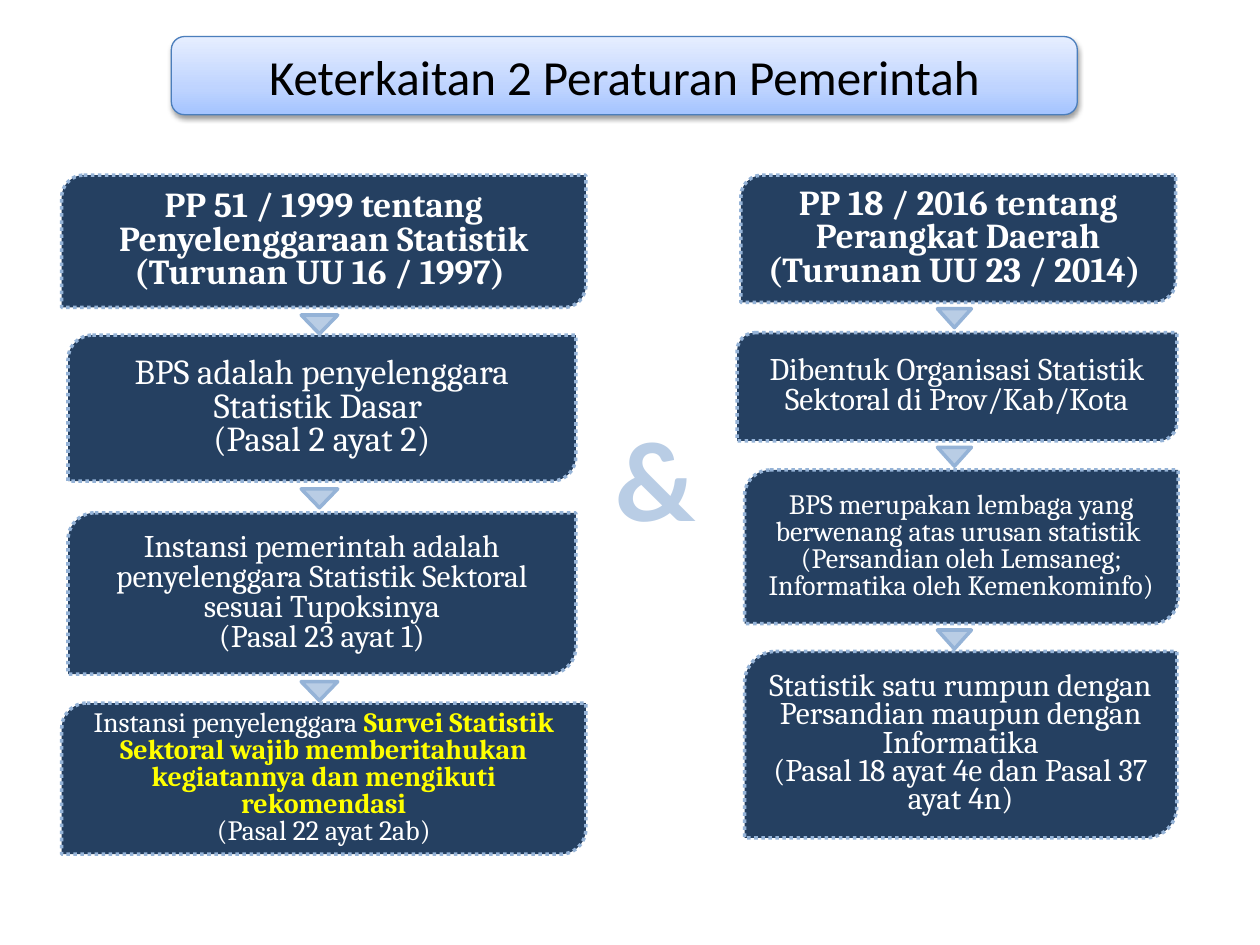
import copy
from dataclasses import dataclass

import lxml.etree
import pptx
import pptx.dml.color
import pptx.enum.dml
import pptx.enum.shapes
import pptx.enum.text
import pptx.oxml.ns
import pptx.util
from pptx.util import Inches

SHAPE = pptx.enum.shapes.MSO_SHAPE
ANCHOR = pptx.enum.text.MSO_ANCHOR


@dataclass(frozen=True)
class Theme:
    """Colours, fonts and type sizes of the slide."""
    navy: str = "254061"
    border: str = "95B3D7"
    pale: str = "B9CDE5"
    white: str = "FFFFFF"
    black: str = "000000"
    yellow: str = "FFFF00"
    title_border: str = "4B7EBC"
    title_stops: tuple = ((0, "A4C4FF"), (0.35, "BFD4FF"), (1, "E6EEFF"))
    title_font: str = "Calibri"
    body_font: str = "Cambria"
    title_size: int = 28
    ampersand_size: int = 65
    large: int = 20
    medium: int = 18
    small: int = 16


THEME = Theme()


@dataclass(frozen=True)
class Box:
    """One step of a regulation column; a paragraph is a list of runs."""
    place: tuple
    size: int
    paragraphs: list
    bold: bool = False
    spacing: float = 0.8


LEFT_COLUMN = [
    Box((0.49, 1.39, 4.16, 1.05), THEME.large,
        [["PP 51 / 1999 tentang Penyelenggaraan Statistik"], ["(Turunan UU 16 / 1997) "]], bold=True),
    Box((0.54, 2.66, 4.03, 1.16), THEME.large,
        [["BPS adalah penyelenggara Statistik Dasar "], ["(Pasal 2 ayat 2)"]]),
    Box((0.54, 4.07, 4.03, 1.28), THEME.medium,
        [["Instansi pemerintah adalah penyelenggara Statistik Sektoral sesuai Tupoksinya"],
         ["(Pasal 23 ayat 1)"]]),
    Box((0.49, 5.58, 4.16, 1.2), THEME.small,
        [["Instansi penyelenggara ",
          "Survei Statistik Sektoral wajib memberitahukan kegiatannya dan mengikuti rekomendasi"],
         ["(Pasal 22 ayat 2ab)"]]),
]
RIGHT_COLUMN = [
    Box((5.88, 1.39, 3.45, 1.01), THEME.large,
        [["PP 18 / 2016 tentang Perangkat Daerah"], ["(Turunan UU 23 / 2014) "]], bold=True),
    Box((5.85, 2.64, 3.49, 0.86), THEME.medium,
        [["Dibentuk Organisasi Statistik Sektoral di Prov/Kab/Kota"]]),
    Box((5.91, 3.73, 3.44, 1.22), THEME.small,
        [["BPS merupakan lembaga yang berwenang atas urusan statistik "],
         ["(Persandian oleh Lemsaneg; Informatika oleh Kemenkominfo)"]]),
    Box((5.91, 5.17, 3.43, 1.48), THEME.medium,
        [["Statistik satu rumpun dengan Persandian maupun dengan Informatika"],
         ["(Pasal 18 ayat 4e dan Pasal 37 ayat 4n)"]], spacing=0.75),
]


def rgb(value):
    """Return a colour object for a hex string."""
    return pptx.dml.color.RGBColor.from_string(value)


def add_shape(shapes, kind, place, fill=None, line=None, width=2):
    """Add a preset shape with plain fill and line and no shadow."""
    shape = shapes.add_shape(kind, *map(Inches, place))
    shape.shadow.inherit = False
    if fill:
        shape.fill.solid()
        shape.fill.fore_color.rgb = rgb(fill)
    else:
        shape.fill.background()
    if line:
        shape.line.color.rgb = rgb(line)
        shape.line.width = pptx.util.Pt(width)
    else:
        shape.line.fill.background()
    return shape


def format_run(run, font, size, color, bold=False):
    """Set the type of one run."""
    run.font.name = font
    run.font.size = pptx.util.Pt(size)
    run.font.bold = bold
    run.font.color.rgb = rgb(color)


def set_text(shape, text, size, color, bold=False, anchor=ANCHOR.MIDDLE):
    """Write one centred line in the title font."""
    frame = shape.text_frame
    frame.text = text
    frame.word_wrap = True
    frame.vertical_anchor = anchor
    frame.paragraphs[0].alignment = pptx.enum.text.PP_ALIGN.CENTER
    format_run(frame.paragraphs[0].runs[0], THEME.title_font, size, color, bold)


def add_title(slide):
    """Add the title bar with its gradient and soft shadow."""
    shape = add_shape(slide.shapes, SHAPE.ROUNDED_RECTANGLE, (1.36, 0.29, 7.19, 0.62),
                      line=THEME.title_border, width=0.75)
    shape.fill.gradient()
    shape.fill.gradient_angle = 90
    qualify = pptx.oxml.ns.qn
    properties = shape._element.spPr
    stop_list = properties.find(".//" + qualify("a:gsLst"))
    stop_list.append(copy.deepcopy(stop_list[-1]))
    for stop, (position, color) in zip(shape.fill.gradient_stops, THEME.title_stops):
        stop.position = position
        stop.color.rgb = rgb(color)
    effects = properties.find(qualify("a:effectLst"))
    shadow = lxml.etree.SubElement(effects, qualify("a:outerShdw"), blurRad="40000",
                                   dist="20000", dir="5400000", rotWithShape="0")
    color = lxml.etree.SubElement(shadow, qualify("a:srgbClr"), val=THEME.black)
    lxml.etree.SubElement(color, qualify("a:alpha"), val="38000")
    set_text(shape, "Keterkaitan 2 Peraturan Pemerintah", THEME.title_size, THEME.black)


def add_box(shapes, box):
    """Add a dotted navy box; second runs are highlighted."""
    shape = add_shape(shapes, SHAPE.ROUND_2_DIAG_RECTANGLE, box.place, THEME.navy, THEME.border)
    shape.line.dash_style = pptx.enum.dml.MSO_LINE.ROUND_DOT
    frame = shape.text_frame
    frame.word_wrap = True
    frame.vertical_anchor = ANCHOR.MIDDLE
    for index, texts in enumerate(box.paragraphs):
        paragraph = frame.add_paragraph() if index else frame.paragraphs[0]
        paragraph.alignment = pptx.enum.text.PP_ALIGN.CENTER
        paragraph.line_spacing = box.spacing
        for position, text in enumerate(texts):
            run = paragraph.add_run()
            run.text = text
            highlighted = position == 1
            format_run(run, THEME.body_font, box.size,
                       THEME.yellow if highlighted else THEME.white, box.bold or highlighted)


def add_column(slide, boxes, arrow_left, arrow_width, gap):
    """Add a group of boxes with a down arrow after all but the last."""
    shapes = slide.shapes.add_group_shape().shapes
    for box in boxes:
        add_box(shapes, box)
    for box in boxes[:-1]:
        top = box.place[1] + box.place[3] + gap
        add_shape(shapes, SHAPE.FLOWCHART_MERGE, (arrow_left, top, arrow_width, 0.15),
                  THEME.pale, THEME.border)


def add_ampersand(slide):
    """Add the large sign that joins the two columns."""
    shape = add_shape(slide.shapes, SHAPE.ROUND_2_DIAG_RECTANGLE, (4.55, 3.13, 1.3, 1.3))
    set_text(shape, "&", THEME.ampersand_size, THEME.pale, bold=True, anchor=ANCHOR.TOP)
    frame = shape.text_frame
    frame.margin_left = frame.margin_right = Inches(0.08)
    frame.margin_top = frame.margin_bottom = Inches(0.04)
    frame.auto_size = pptx.enum.text.MSO_AUTO_SIZE.SHAPE_TO_FIT_TEXT


def main():
    """Build and save the slide."""
    presentation = pptx.Presentation()
    presentation.slide_width = Inches(10)
    presentation.slide_height = Inches(7.5)
    slide = presentation.slides.add_slide(presentation.slide_layouts[6])
    add_title(slide)
    add_column(slide, RIGHT_COLUMN, 7.44, 0.27, 0.05)
    add_ampersand(slide)
    add_column(slide, LEFT_COLUMN, 2.39, 0.29, 0.06)
    presentation.save("out.pptx")


if __name__ == "__main__":
    main()
